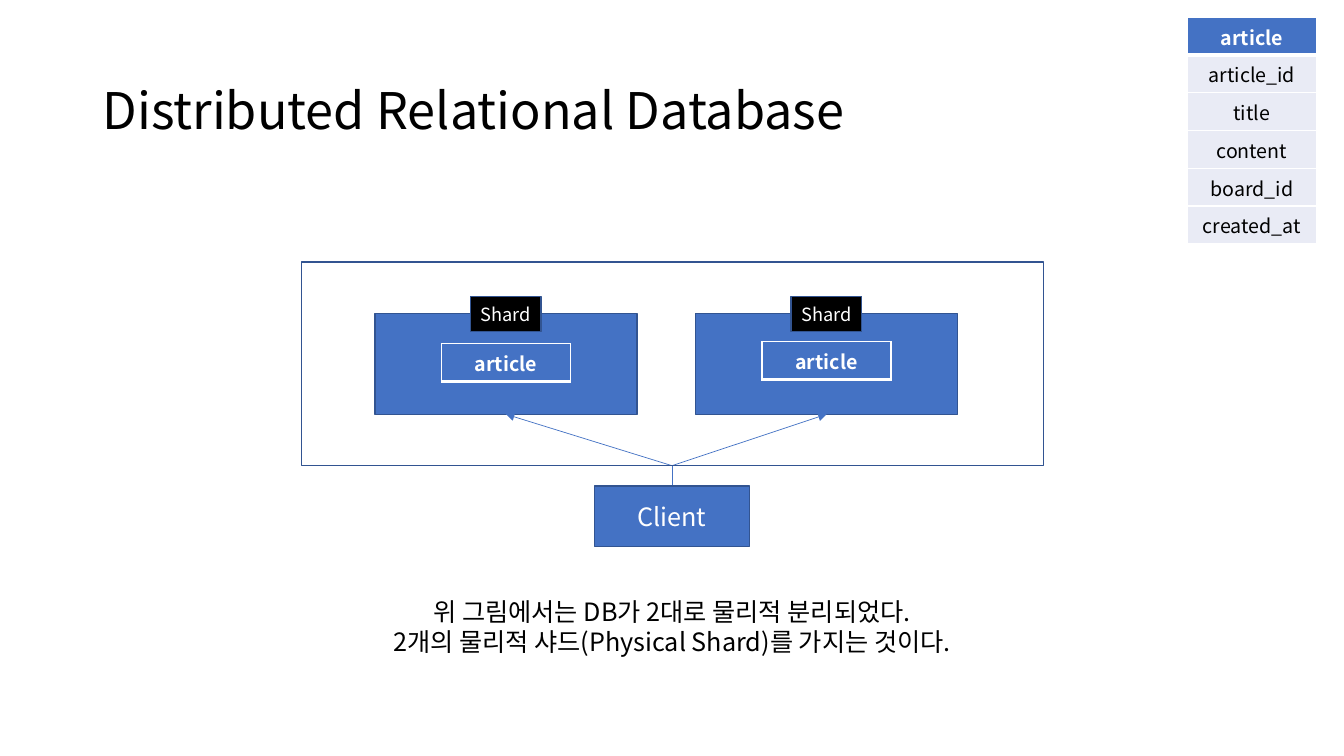
"""Build a slide on a distributed database, laid out in hundredths of its width and height."""
from dataclasses import dataclass

from lxml import etree
from pptx import Presentation
from pptx import util as u
from pptx.dml import color
from pptx.enum import shapes, text
from pptx.oxml import ns

FONT = "Noto Sans CJK KR"
BLUE, EDGE, PALE = "4472C4", "325491", "E9EBF5"
BLACK, WHITE = "000000", "FFFFFF"
ROW = 5.0
CELL = 9.6


@dataclass
class Box:
    x: float
    y: float
    w: float
    h: float

    @property
    def mid(self) -> float:
        return self.x + self.w / 2

    @property
    def base(self) -> float:
        return self.y + self.h


@dataclass
class Shard:
    box: Box
    top: float


deck = Presentation()
deck.slide_width, deck.slide_height = u.Inches(13.333), u.Inches(7.5)
slide = deck.slides.add_slide(deck.slide_layouts[6])


def col(x: float) -> int:
    return round(deck.slide_width * x / 100)


def row(y: float) -> int:
    return round(deck.slide_height * y / 100)


def place(box: Box) -> tuple:
    return col(box.x), row(box.y), col(box.w), row(box.h)


def rgb(hue: str) -> color.RGBColor:
    return color.RGBColor.from_string(hue)


def write(frame, words: str, size: float = 18, hue: str = WHITE, bold: bool = False,
          align=text.PP_ALIGN.CENTER, space: float = 1.0) -> None:
    frame.word_wrap = True
    frame.vertical_anchor = text.MSO_ANCHOR.MIDDLE
    for n, line in enumerate(words.split("\n")):
        para = frame.add_paragraph() if n else frame.paragraphs[0]
        para.alignment, para.line_spacing = align, space
        run = para.add_run()
        run.text = line
        font = run.font
        font.name, font.size, font.bold = FONT, u.Pt(size), bold
        font.color.rgb = rgb(hue)
        east = etree.SubElement(run._r.get_or_add_rPr(), ns.qn("a:ea"))
        east.set("typeface", FONT)


def label(box: Box, words: str, **style) -> None:
    write(slide.shapes.add_textbox(*place(box)).text_frame, words, **style)


def block(box: Box, fill: str = "", words: str = "", **style) -> None:
    shape = slide.shapes.add_shape(shapes.MSO_SHAPE.RECTANGLE, *place(box))
    shape.shadow.inherit = False
    shape.line.color.rgb, shape.line.width = rgb(EDGE), u.Pt(1)
    if fill:
        shape.fill.solid()
        shape.fill.fore_color.rgb = rgb(fill)
    else:
        shape.fill.background()
    if words:
        frame = shape.text_frame
        frame.margin_left = frame.margin_right = 0
        write(frame, words, **style)


def link(start: tuple, end: tuple, arrow: bool = False) -> None:
    line = slide.shapes.add_connector(
        shapes.MSO_CONNECTOR.STRAIGHT, col(start[0]), row(start[1]), col(end[0]), row(end[1]))
    line.line.color.rgb, line.line.width = rgb(BLUE), u.Pt(0.5)
    if arrow:
        etree.SubElement(line.line._get_or_add_ln(), ns.qn("a:tailEnd")).set("type", "triangle")
    etree.SubElement(line._element.spPr, ns.qn("a:effectLst"))


def border(cell, sides: dict) -> None:
    props = cell._tc.get_or_add_tcPr()
    for n, (side, width) in enumerate(sides.items()):
        edge = etree.Element(ns.qn(f"a:ln{side}"), w=str(u.Pt(width)))
        fill = etree.SubElement(edge, ns.qn("a:solidFill"))
        etree.SubElement(fill, ns.qn("a:srgbClr")).set("val", WHITE)
        props.insert(n, edge)


def table(x: float, y: float, names: list) -> None:
    box = Box(x, y, CELL, ROW * len(names))
    grid = slide.shapes.add_table(len(names), 1, *place(box)).table
    for n, name in enumerate(names):
        head = n == 0
        cell = grid.cell(n, 0)
        cell.fill.solid()
        cell.fill.fore_color.rgb = rgb(BLUE if head else PALE)
        border(cell, {"L": 1, "R": 1, "T": 1, "B": 3} if head else {"L": 1, "R": 1, "B": 1})
        write(cell.text_frame, name, size=14, bold=head, hue=WHITE if head else BLACK)


def main() -> None:
    shards = [Shard(Box(27.9, 41.47, 19.5, 13.33), 45.47),
              Shard(Box(51.75, 41.47, 19.5, 13.33), 45.2)]
    frame = Box(22.43, 34.67, 55.2, 26.93)
    client = Box(44.25, 64.27, 11.5, 8)
    hub = (client.mid, frame.base)

    label(Box(6.9, 5.33, 86.25, 19.33), "Distributed Relational Database",
          size=36, hue=BLACK, align=text.PP_ALIGN.LEFT, space=0.9)
    for shard in shards:
        block(shard.box, BLUE)
        link(hub, (shard.box.mid, shard.box.base), arrow=True)
    table(88.35, 2.27, ["article", "article_id", "title", "content", "board_id", "created_at"])
    for shard in shards:
        mid = shard.box.mid
        table(mid - CELL / 2, shard.top, ["article"])
        block(Box(mid - 2.63, 39.2, 5.25, 4.67), BLACK, "Shard", size=13)
    block(frame)
    link(hub, (client.mid, client.y))
    block(client, BLUE, "Client")
    label(Box(0, 78.13, 100, 9.47),
          "위 그림에서는 DB가 2대로 물리적 분리되었다.\n"
          "2개의 물리적 샤드(Physical Shard)를 가지는 것이다.", hue=BLACK)
    deck.save("out.pptx")


if __name__ == "__main__":
    main()
